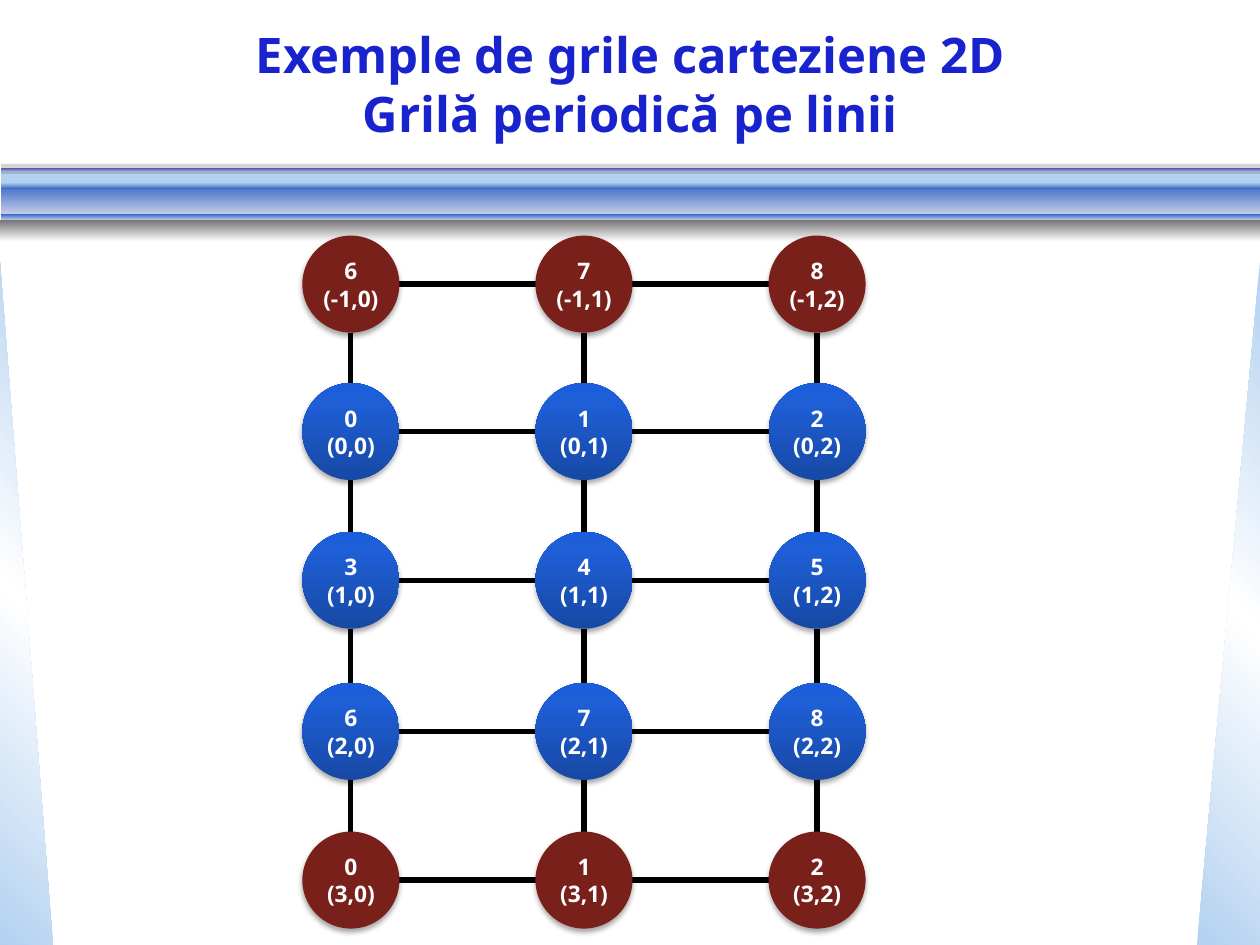
"""Build a slide with a 2D Cartesian grid that is periodic along its rows."""
from pptx import Presentation
from pptx.dml.color import RGBColor
from pptx.enum import shapes, text
from pptx.oxml import parse_xml
from pptx.oxml.ns import nsdecls, qn
from pptx.util import Inches, Pt

FONT = "Noto Sans"
SIZE = 0.77
LEFTS = [2.4, 4.25, 6.1]
TOPS = [1.87, 3.04, 4.22, 5.42, 6.6]
BLUE = [(0, "1749A5"), (80, "1E5ED6"), (100, "1B5EDB")]
EDGE = [(0, "B3D1F0"), (50, "FFFFFF"), (100, "B3D1F0")]
KIND = shapes.MSO_SHAPE


def color(code):
    """Turn a hex string into a colour."""
    return RGBColor.from_string(code)


def blend(shape, stops, angle):
    """Fill a shape with a linear gradient, its angle clockwise."""
    marks = "".join(
        f'<a:gs pos="{pos * 1000}"><a:srgbClr val="{code}"/></a:gs>' for pos, code in stops)
    fill = parse_xml(
        f'<a:gradFill {nsdecls("a")} rotWithShape="1"><a:gsLst>{marks}</a:gsLst>'
        f'<a:lin ang="{angle * 60000}" scaled="0"/></a:gradFill>')
    shape._element.spPr.find(qn("a:prstGeom")).addnext(fill)


def add_form(slide, kind, box, fill, angle=90):
    """Add a borderless shape with a plain or gradient fill."""
    shape = slide.shapes.add_shape(kind, *map(Inches, box))
    shape.shadow.inherit = False
    shape.line.fill.background()
    if isinstance(fill, str):
        shape.fill.solid()
        shape.fill.fore_color.rgb = color(fill)
    else:
        blend(shape, fill, angle)
    return shape


def fade(shape, share):
    """Set the opacity of a plain fill in percent."""
    tone = shape._element.spPr.find(qn("a:solidFill"))[0]
    tone.append(parse_xml(f'<a:alpha {nsdecls("a")} val="{share * 1000}"/>'))


def cast(shape):
    """Give a shape a soft shadow below it."""
    shape._element.spPr.find(qn("a:effectLst")).append(parse_xml(
        f'<a:outerShdw {nsdecls("a")} blurRad="{Pt(3.1)}" dist="{Pt(1.8)}" dir="5400000" '
        'rotWithShape="0"><a:srgbClr val="000000"><a:alpha val="35000"/></a:srgbClr>'
        '</a:outerShdw>'))


def style(frame, size, code):
    """Centre the text of a frame and set its bold font."""
    for para in frame.paragraphs:
        para.alignment = text.PP_ALIGN.CENTER
        for run in para.runs:
            font = run.font
            font.name, font.size, font.bold = FONT, Pt(size), True
            font.color.rgb = color(code)


def add_frame(slide):
    """Add the side wedges and the bands below the title."""
    add_form(slide, KIND.RIGHT_TRIANGLE, (0, 2.08, 0.42, 5.42), EDGE, 315)
    wedge = add_form(slide, KIND.RIGHT_TRIANGLE, (9.5, 2.08, 0.5, 5.42), EDGE, 45)
    wedge._element.spPr.xfrm.set("flipH", "1")
    bands = [
        (1.36, 0.1, "B3D1F0"),
        (1.46, 0.25, [(0, "3568C7"), (100, "CAD0E9")]),
        (1.33, 0.03, [(0, "1822CD"), (100, "BABBE7")]),
        (1.7, 0.05, [(0, "3568C7"), (100, "CAD0E9")]),
        (1.45, 0.05, [(0, "B3D1F0"), (100, "3568C7")]),
    ]
    for top, height, fill in bands:
        add_form(slide, KIND.RECTANGLE, (0.01, top, 9.99, height), fill)
    add_form(slide, KIND.RECTANGLE, (0, 1.75, 10, 0.17), [(0, "777777"), (100, "FFFFFF")])
    fade(add_form(slide, KIND.RECTANGLE, (0.01, 1.3, 9.99, 0.08), "777777"), 31)


def add_title(slide, words):
    """Fill and place the title."""
    title = slide.shapes.title
    title.left, title.top, title.width, title.height = map(Inches, (0, 0.08, 10, 1.17))
    frame = title.text_frame
    frame.text = words
    frame.vertical_anchor = text.MSO_ANCHOR.MIDDLE
    frame.auto_size = text.MSO_AUTO_SIZE.NONE
    style(frame, 28, "1822CD")


def add_link(slide, *ends):
    """Add a black line between two points."""
    line = slide.shapes.add_connector(shapes.MSO_CONNECTOR.STRAIGHT, *map(Inches, ends))
    line.line.color.rgb = color("000000")
    line.line.width = Pt(3)
    line._element.spPr.append(parse_xml(f'<a:effectLst {nsdecls("a")}/>'))


def add_node(slide, left, top, label, fill):
    """Add a disc with its rank and coordinates."""
    cast(add_form(slide, KIND.OVAL, (left, top, SIZE, SIZE), fill, 270))
    width = 0.67 if "-" in label else 0.58
    box = (left + (SIZE - width) / 2, top + 0.12, width, 0.54)
    frame = slide.shapes.add_textbox(*map(Inches, box)).text_frame
    frame.text = label
    style(frame, 13, "FFFFFF")


def add_grid(slide):
    """Add the links and nodes, with the wrapped rows in red."""
    half = SIZE / 2
    for top in TOPS:
        for left, right in zip(LEFTS, LEFTS[1:]):
            add_link(slide, left + SIZE, top + half, right, top + half)
    for left in LEFTS:
        for top, low in zip(TOPS, TOPS[1:]):
            add_link(slide, left + half, top + SIZE, left + half, low)
    for row, top in enumerate(TOPS, -1):
        for col, left in enumerate(LEFTS):
            rank = row % 3 * 3 + col
            fill = BLUE if 0 <= row < 3 else "79201A"
            add_node(slide, left, top, f"{rank}\n({row},{col})", fill)


def main():
    """Build and save the slide."""
    deck = Presentation()
    deck.slide_width, deck.slide_height = Inches(10), Inches(7.5)
    slide = deck.slides.add_slide(deck.slide_layouts[5])
    add_frame(slide)
    add_title(slide, "Exemple de grile carteziene 2D\vGrilă periodică pe linii")
    add_grid(slide)
    deck.save("out.pptx")


if __name__ == "__main__":
    main()
